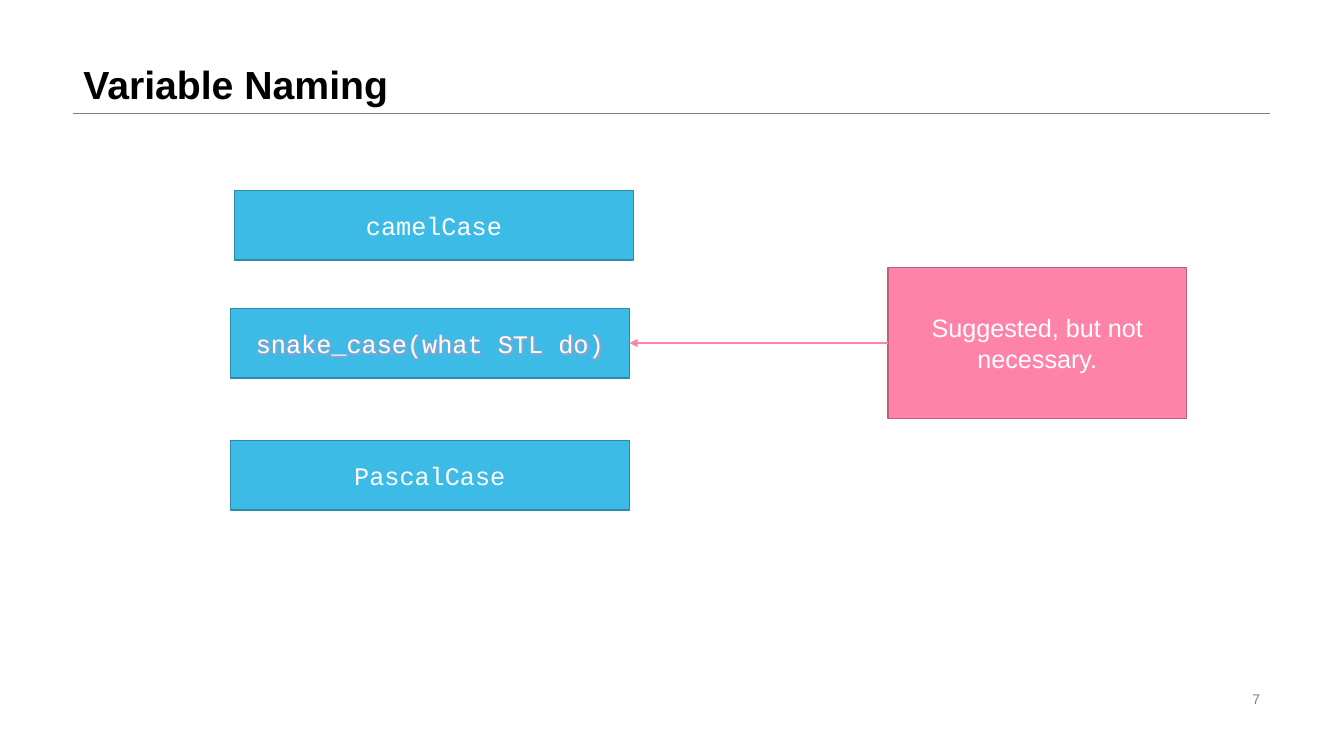
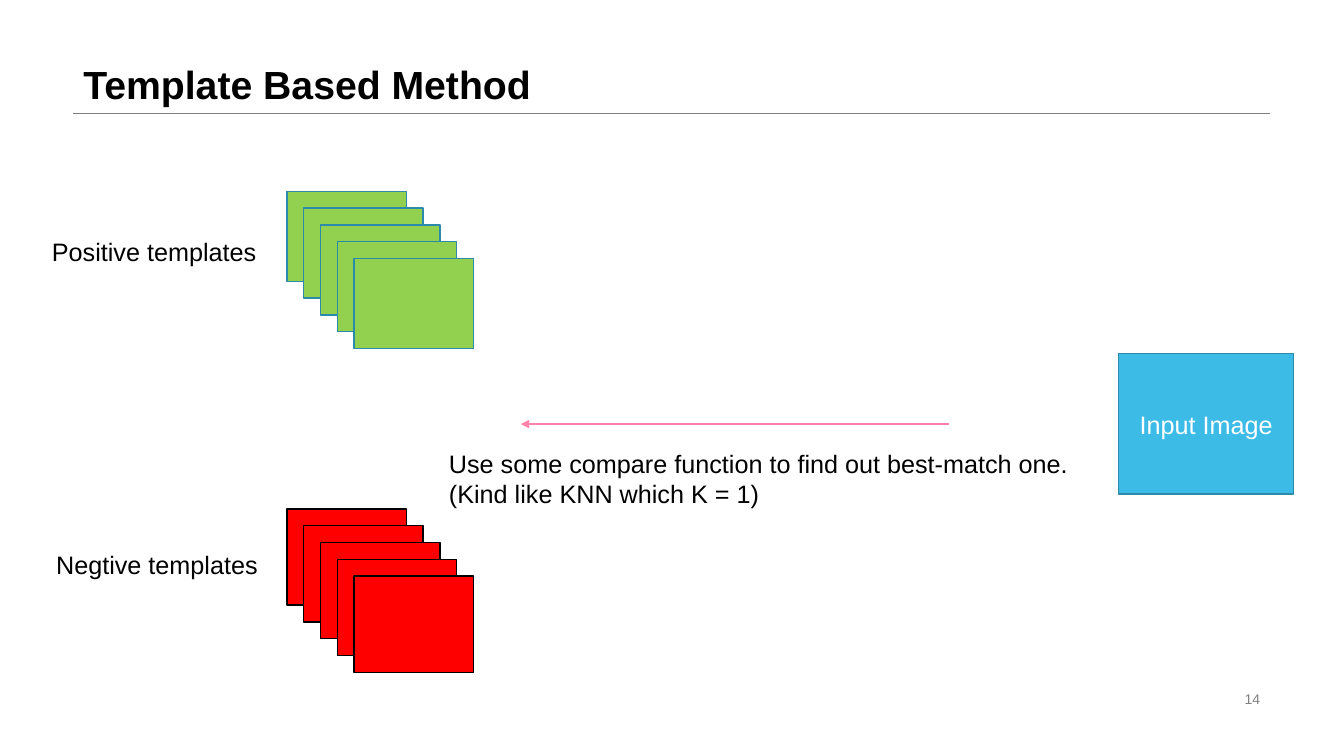
from lxml import etree
from pptx import Presentation
from pptx import util as u
from pptx.dml.color import RGBColor
from pptx.enum import shapes, text
from pptx.oxml import ns

COLORS = {
    "ink": "000000", "white": "FFFFFF", "gray": "808080",
    "blue": "3CBBE7", "blue_edge": "2C8AAB",
    "pink": "FF83A8", "pink_edge": "BD617C",
    "green": "92D050", "red": "FF0000",
}
BODY, CODE = "Arial", "Courier New"
SLIDE = (0, 0, 960, 540)


def rgb(name):
    return RGBColor.from_string(COLORS[name])


def place(box):
    return [u.Pt(length) for length in box]


def write(frame, lines, color="ink", size=18, font=BODY, bold=False,
          align=text.PP_ALIGN.LEFT, anchor=text.MSO_ANCHOR.TOP, wrap=True):
    frame.text = lines
    frame.word_wrap = wrap
    frame.vertical_anchor = anchor
    for paragraph in frame.paragraphs:
        paragraph.alignment = align
        for run in paragraph.runs:
            run.font.name, run.font.size, run.font.bold = font, u.Pt(size), bold
            run.font.color.rgb = rgb(color)
    return frame


def add_text(slide, box, lines, **style):
    return write(slide.shapes.add_textbox(*place(box)).text_frame, lines, **style)


def add_block(slide, box, fill, edge, label="", font=BODY):
    block = slide.shapes.add_shape(shapes.MSO_SHAPE.RECTANGLE, *place(box))
    block.shadow.inherit = False
    block.fill.solid()
    block.fill.fore_color.rgb = rgb(fill)
    block.line.color.rgb = rgb(edge)
    block.line.width = u.Pt(1)
    if label:
        write(block.text_frame, label, "white", font=font,
              align=text.PP_ALIGN.CENTER, anchor=text.MSO_ANCHOR.MIDDLE)
    return block


def add_line(slide, start, end, color, width, arrow=False):
    line = slide.shapes.add_connector(
        shapes.MSO_CONNECTOR.STRAIGHT, *place(start + end))
    line.line.color.rgb = rgb(color)
    line.line.width = u.Pt(width)
    if arrow:
        outline = line.line._get_or_add_ln()
        etree.SubElement(outline, ns.qn("a:tailEnd"), type="triangle")
    etree.SubElement(line._element.spPr, ns.qn("a:effectLst"))


def add_glow(run, color, radius):
    effects = etree.Element(ns.qn("a:effectLst"))
    glow = etree.SubElement(effects, ns.qn("a:glow"), rad=str(u.Pt(radius)))
    tint = etree.SubElement(glow, ns.qn("a:srgbClr"), val=COLORS[color])
    etree.SubElement(tint, ns.qn("a:alpha"), val="40000")
    # Effects must directly follow the text fill
    run.font._element.find(ns.qn("a:solidFill")).addnext(effects)


def add_frame(prs, box, title, number):
    """Blank slide with title, rule and page number."""
    left, top, width, height = box
    slide = prs.slides.add_slide(prs.slide_layouts[6])
    x, rule_y, span = left + 52.5, top + 80.8, width - 105.3
    add_line(slide, (x, rule_y), (x + span, rule_y), "gray", 0.25)
    heading = add_text(slide, (x, top, span, 80.8), title, size=28, bold=True,
                       anchor=text.MSO_ANCHOR.BOTTOM)
    heading.paragraphs[0].line_spacing = 0.9
    add_text(slide, (x + span - 229, top + height - 49, 229, 16.5), str(number),
             color="gray", size=10, align=text.PP_ALIGN.RIGHT,
             anchor=text.MSO_ANCHOR.MIDDLE)
    return slide


def add_naming_styles(slide, box):
    """Three naming styles, with advice pointing at the second."""
    left, top, width, height = box
    style_w, style_h = 285, 49.7
    styles = [("camelCase", 3, 0), ("snake_case(what STL do)", 0, 84.4),
              ("PascalCase", 0, 178.6)]
    blocks = [add_block(slide, (left + dx, top + dy, style_w, style_h),
                        "blue", "blue_edge", name, CODE)
              for name, dx, dy in styles]
    add_glow(blocks[1].text_frame.paragraphs[0].runs[0], "pink", 5)

    # Advice
    advice_w, advice_h = 213.5, 108
    advice_x, advice_y = left + width - advice_w, top + 55
    add_block(slide, (advice_x, advice_y, advice_w, advice_h),
              "pink", "pink_edge", "Suggested, but not necessary.")
    arrow_y = advice_y + advice_h / 2
    add_line(slide, (advice_x, arrow_y), (left + style_w, arrow_y),
             "pink", 1.5, arrow=True)


def add_template_stack(slide, box, fill, edge, count=5, step=12):
    """Overlapping cards, each one step down and right, filling the box."""
    left, top, width, height = box
    shift = step * (count - 1)
    for i in range(count):
        add_block(slide, (left + i * step, top + i * step,
                          width - shift, height - shift), fill, edge)


def add_matching(slide, box):
    """Template stacks on the left, compared with the input on the right."""
    left, top, width, height = box
    stacks = [("Positive templates", 0, 28.6, 0, 112.3, "green", "blue_edge"),
              ("Negtive templates", 3, 252.2, 226.9, 116.7, "red", "ink")]
    for label, label_x, label_y, stack_y, stack_h, fill, edge in stacks:
        add_template_stack(slide, (left + 175, top + stack_y, 133.3, stack_h),
                           fill, edge)
        add_text(slide, (left + label_x, top + label_y, 162, 29), label, wrap=False)

    # Input and comparison
    input_w, input_h = 124.8, 100.2
    add_block(slide, (left + width - input_w, top + 116, input_w, input_h),
              "blue", "blue_edge", "Input Image")
    add_line(slide, (left + 648, top + 166.2), (left + 342, top + 166.2),
             "pink", 1.5, arrow=True)
    add_text(slide, (left + 283.6, top + 180, 461, 51),
             "Use some compare function to find out best-match one.\n"
             "(Kind like KNN which K = 1)", wrap=False)


def main():
    prs = Presentation()
    prs.slide_width, prs.slide_height = place(SLIDE[2:])
    naming = add_frame(prs, SLIDE, "Variable Naming", 7)
    add_naming_styles(naming, (164.5, 136, 683.2, 228.3))
    matching = add_frame(prs, SLIDE, "Template Based Method", 14)
    add_matching(matching, (30, 136.7, 893.9, 343.6))
    prs.save("out.pptx")


if __name__ == "__main__":
    main()
